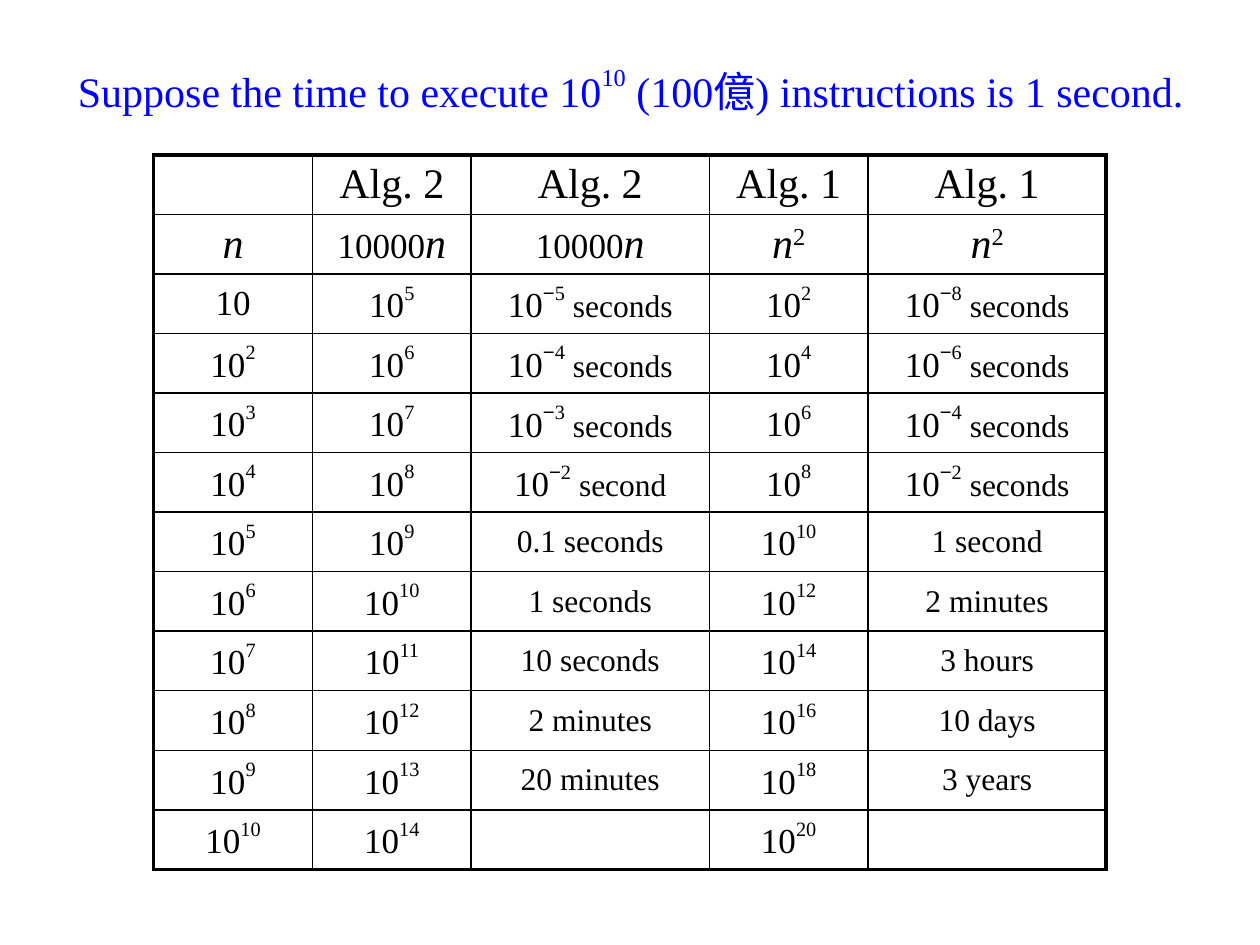
from dataclasses import dataclass

from lxml import etree
from pptx import Presentation
from pptx.dml.color import RGBColor
from pptx.enum import text
from pptx.oxml import ns
from pptx.util import Pt


@dataclass(frozen=True)
class Theme:
    """Colours, fonts, type sizes and line widths of the slide."""
    ink: str = "000000"
    accent: str = "0000FF"
    font: str = "Times New Roman"
    sign_font: str = "Arial"
    large: float = 24
    medium: float = 20
    small: float = 18
    outer: float = 2.25
    inner: float = 1


@dataclass(frozen=True)
class Run:
    """A stretch of text in one format; raised is a percentage."""
    words: str
    size: float
    raised: int = 0
    italic: bool = False
    font: str = Theme.font


T = Theme()
ROW_HEIGHT = 34.02
COLUMN_WIDTHS = (90.72, 90.72, 136.08, 90.72, 136.08)
TABLE_LEFT, TABLE_TOP = 87.84, 88.56


def power(exponent: int, unit: str = "") -> list[Run]:
    """Return the runs for a power of ten with an optional unit."""
    runs = [Run("10", T.medium)]
    if exponent < 0:
        runs.append(Run("\u2212", T.medium, 50, font=T.sign_font))
    runs.append(Run(str(abs(exponent)), T.medium, 50))
    if unit:
        runs.append(Run(f" {unit}", T.small))
    return runs


def plain(words: str, size: float = T.small) -> list[Run]:
    """Return one unformatted run, or none for an empty cell."""
    return [Run(words, size)] if words else []


def write(p, runs: list[Run], color: str) -> None:
    """Fill a paragraph with centred runs."""
    p.alignment = text.PP_ALIGN.CENTER
    p.font.color.rgb = RGBColor.from_string(color)
    for run in runs:
        r = p.add_run()
        r.text = run.words
        r.font.size = Pt(run.size)
        r.font.name = run.font
        r.font.italic = run.italic
        r.font.color.rgb = RGBColor.from_string(color)
        if run.raised:
            r.font._element.set("baseline", str(run.raised * 1000))


def set_borders(cell, widths: dict[str, float]) -> None:
    """Draw the four borders of a cell, keyed L, R, T, B."""
    tc_pr = cell._tc.get_or_add_tcPr()
    for side, width in widths.items():
        ln = etree.SubElement(tc_pr, ns.qn(f"a:ln{side}"), w=str(Pt(width)))
        fill = etree.SubElement(ln, ns.qn("a:solidFill"))
        etree.SubElement(fill, ns.qn("a:srgbClr"), val=T.ink)


def table_rows() -> list[list[list[Run]]]:
    """Return the runs of every cell, row by row."""
    n = Run("n", T.large, italic=True)
    linear = [Run("10000", T.medium), n]
    square = [n, Run("2", T.large, 30)]
    linear_times = [power(-5, "seconds"), power(-4, "seconds"),
                    power(-3, "seconds"), power(-2, "second")]
    linear_times += [plain(t) for t in ("0.1 seconds", "1 seconds", "10 seconds",
                                        "2 minutes", "20 minutes", "")]
    square_times = [power(e, "seconds") for e in (-8, -6, -4, -2)]
    square_times += [plain(t) for t in ("1 second", "2 minutes", "3 hours",
                                        "10 days", "3 years", "")]
    rows = [
        [plain(t, T.large) for t in ("", "Alg. 2", "Alg. 2", "Alg. 1", "Alg. 1")],
        [[n], linear, linear, square, square],
    ]
    for e, (linear_time, square_time) in enumerate(zip(linear_times, square_times), 1):
        size = plain("10", T.medium) if e == 1 else power(e)
        rows.append([size, power(e + 4), linear_time, power(2 * e), square_time])
    return rows


def add_title(s) -> None:
    """Move the title placeholder and write the assumption in it."""
    sp = s.shapes.title
    sp.left, sp.top, sp.width, sp.height = Pt(31), Pt(31.7), Pt(657.4), Pt(33.8)
    tf = sp.text_frame
    tf.word_wrap = False
    tf.auto_size = text.MSO_AUTO_SIZE.NONE
    tf.vertical_anchor = text.MSO_ANCHOR.TOP
    tf.margin_left, tf.margin_right = Pt(7.2), Pt(5.8)
    tf.margin_top = tf.margin_bottom = Pt(3.6)
    write(tf.paragraphs[0], [
        Run("Suppose the time to execute 10", T.large),
        Run("10", T.large, 50),
        Run(" (100億) instructions is 1 second.", T.large),
    ], T.accent)


def add_times_table(s) -> None:
    """Add the table that compares both algorithms."""
    rows = table_rows()
    last_row, last_col = len(rows) - 1, len(COLUMN_WIDTHS) - 1
    frame = s.shapes.add_table(
        len(rows), len(COLUMN_WIDTHS), Pt(TABLE_LEFT), Pt(TABLE_TOP),
        Pt(sum(COLUMN_WIDTHS)), Pt(ROW_HEIGHT * len(rows)))
    table = frame.table
    table.first_row = table.horz_banding = False
    for column, width in zip(table.columns, COLUMN_WIDTHS):
        column.width = Pt(width)
    for i, row in enumerate(rows):
        table.rows[i].height = Pt(ROW_HEIGHT)
        for j, runs in enumerate(row):
            cell = table.cell(i, j)
            cell.vertical_anchor = text.MSO_ANCHOR.MIDDLE
            cell.margin_top = cell.margin_bottom = Pt(1.44 if i < 2 else 3.6)
            at_edge = {"L": j == 0, "R": j == last_col,
                       "T": i == 0, "B": i == last_row}
            set_borders(cell, {side: T.outer if edge else T.inner
                               for side, edge in at_edge.items()})
            cell.fill.background()
            if runs:
                write(cell.text_frame.paragraphs[0], runs, T.ink)


def main() -> None:
    """Build and save the slide."""
    prs = Presentation()
    prs.slide_width, prs.slide_height = Pt(720), Pt(540)
    s = prs.slides.add_slide(prs.slide_layouts.get_by_name("Title Only"))
    add_times_table(s)
    add_title(s)
    prs.save("out.pptx")


main()
